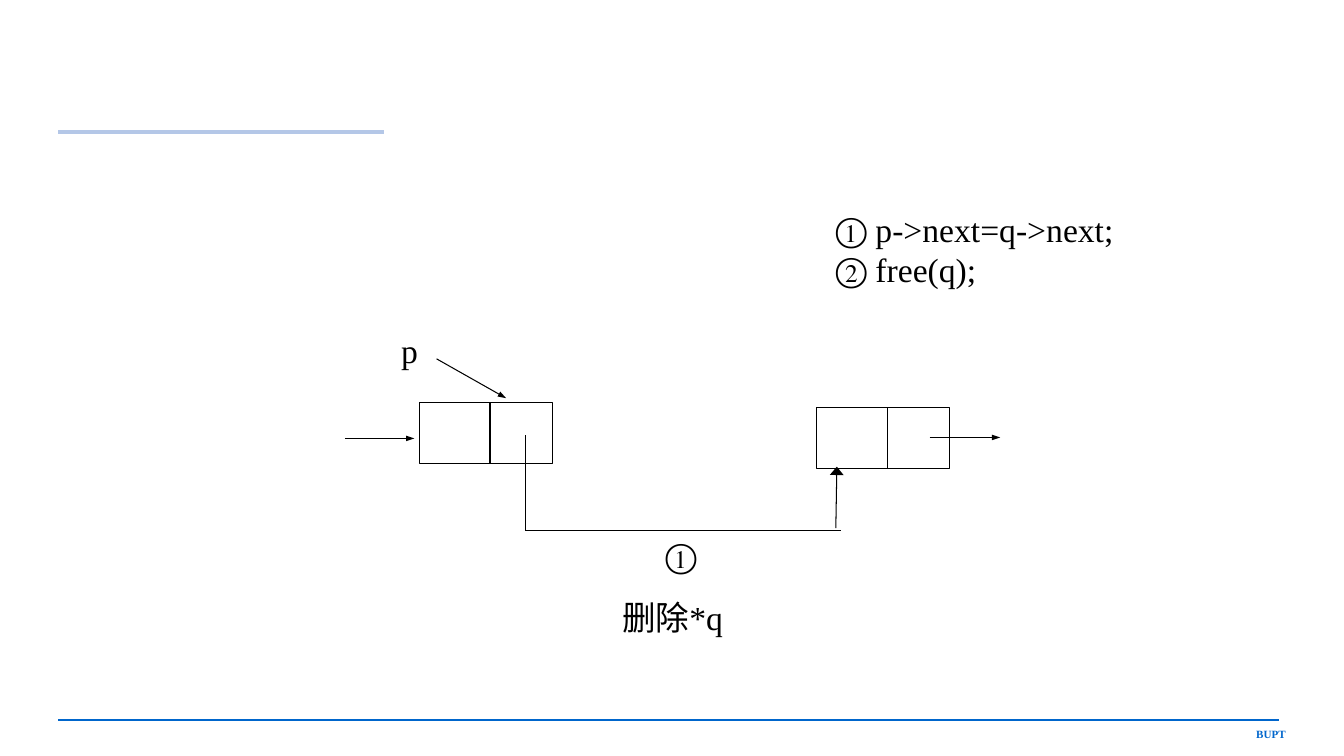
from lxml import etree
from pptx import Presentation
from pptx.dml.color import RGBColor
from pptx.enum import shapes, text
from pptx.oxml.ns import qn
from pptx.util import Inches, Pt

COLORS = {"ink": "000000", "rule": "0066CC", "accent": "B4C7E7"}
FONT = "Times New Roman"
NODE_W, NODE_H, DATA_W = 1.32, 0.61, 0.7


def add_line(s, start, end, color="ink", width=0.75, head=None):
    line = s.shapes.add_connector(
        shapes.MSO_CONNECTOR.STRAIGHT, *[Inches(v) for v in (*start, *end)])
    line.line.color.rgb = RGBColor.from_string(COLORS[color])
    line.line.width = Pt(width)
    if head:
        etree.SubElement(line.line._get_or_add_ln(), qn("a:tailEnd"),
                         type="triangle", w=head, len="med")
    etree.SubElement(line._element.spPr, qn("a:effectLst"))
    return line


def add_node(s, left, top):
    sp = s.shapes.add_shape(
        shapes.MSO_SHAPE.RECTANGLE,
        *[Inches(v) for v in (left, top, NODE_W, NODE_H)])
    sp.shadow.inherit = False
    sp.fill.background()
    sp.line.color.rgb = RGBColor.from_string(COLORS["ink"])
    sp.line.width = Pt(0.75)
    divider = left + DATA_W
    add_line(s, (divider, top), (divider, top + NODE_H))


def add_text(s, box, lines, size=24, color="ink", bold=False,
             align=text.PP_ALIGN.LEFT, wrap=True, inset=True):
    sp = s.shapes.add_textbox(*[Inches(v) for v in box])
    tf = sp.text_frame
    tf.word_wrap = wrap
    if not inset:
        tf.margin_left = tf.margin_top = tf.margin_right = tf.margin_bottom = 0
    tf.text = "\n".join(lines)
    for p in tf.paragraphs:
        p.alignment = align
        p.font.name = FONT
        p.font.size = Pt(size)
        p.font.bold = bold
        p.font.color.rgb = RGBColor.from_string(COLORS[color])


def main():
    prs = Presentation()
    prs.slide_width, prs.slide_height = Inches(13.33), Inches(7.5)
    s = prs.slides.add_slide(prs.slide_layouts[6])

    add_line(s, (0.58, 7.14), (12.69, 7.14), "rule", 1.5)
    add_text(s, (11.5, 7.17, 1.35, 0.23), ["BUPT"], 7.9, "rule", True,
             text.PP_ALIGN.RIGHT)
    add_line(s, (0.58, 1.31), (3.81, 1.31), "accent", 3.5)

    add_node(s, 4.16, 3.99)
    add_node(s, 8.1, 4.04)

    add_line(s, (3.42, 4.35), (4.11, 4.35), head="sm")
    add_line(s, (4.33, 3.56), (5.02, 3.95), head="sm")
    add_line(s, (9.22, 4.34), (9.92, 4.34), head="sm")
    add_line(s, (5.21, 4.32), (5.21, 5.26))
    add_line(s, (5.21, 5.26), (8.34, 5.26))
    add_line(s, (8.29, 5.24), (8.3, 4.63), head="lg")

    justify = text.PP_ALIGN.JUSTIFY
    add_text(s, (3.98, 3.27, 0.5, 0.5), ["p"], align=justify, inset=False)
    add_text(s, (6.17, 5.92, 4.43, 0.43), ["删除*q"], align=justify, inset=False)
    add_text(s, (8.19, 2.02, 3, 0.91), ["① p->next=q->next;", "② free(q);"],
             wrap=False)
    add_text(s, (6.5, 5.26, 0.53, 0.5), ["①"], wrap=False)

    prs.save("out.pptx")


if __name__ == "__main__":
    main()
